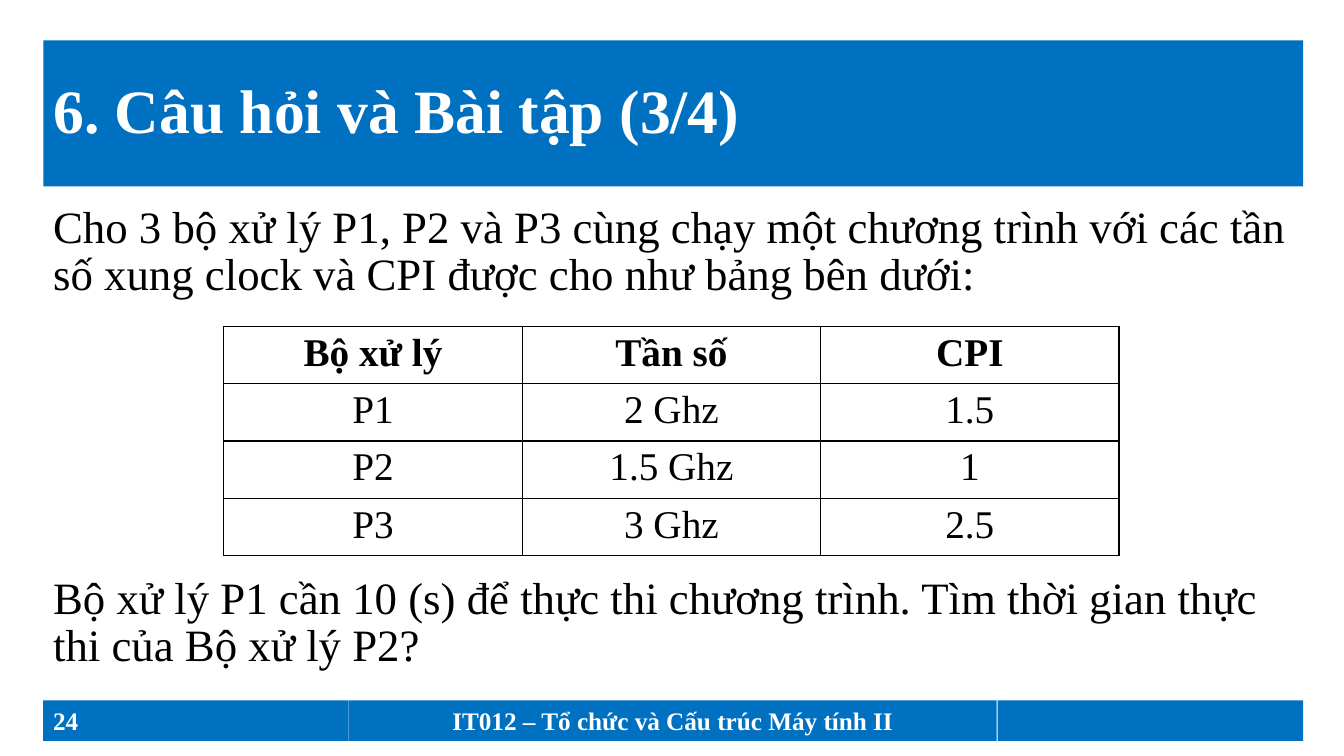
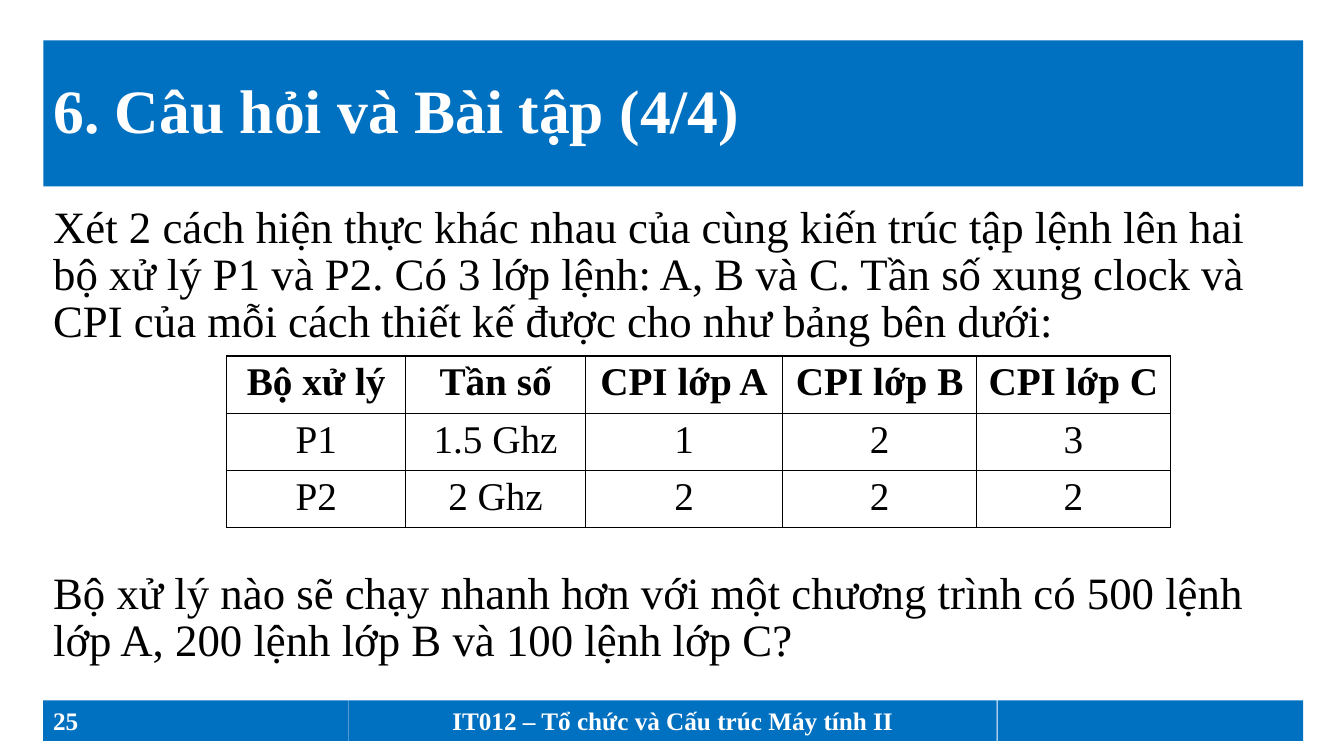
import dataclasses

import lxml.etree
import pptx
import pptx.dml.color
import pptx.enum.shapes
import pptx.enum.text
import pptx.oxml.ns
import pptx.util
from pptx.util import Cm


@dataclasses.dataclass(frozen=True)
class Theme:
    font: str = "Times New Roman"
    blue: str = "0070C0"
    white: str = "FFFFFF"
    black: str = "000000"
    title_size: int = 44
    body_size: int = 32
    table_size: int = 28
    footer_size: int = 18


THEME = Theme()
ALIGN = pptx.enum.text.PP_ALIGN
MIDDLE = pptx.enum.text.MSO_ANCHOR.MIDDLE
RECTANGLE = pptx.enum.shapes.MSO_SHAPE.RECTANGLE

MARGIN = Cm(1.09)
CONTENT_WIDTH = Cm(31.75)
FOOTER_TOP = Cm(17.65)
FOOTER_HEIGHT = Cm(1.02)
ROW_HEIGHT = Cm(1.35)
FIRST_PAGE_NUMBER = 24
COURSE = "IT012 – Tổ chức và Cấu trúc Máy tính II"

EXERCISES = [
    {
        "title": "6. Câu hỏi và Bài tập (3/4)",
        "setup": "Cho 3 bộ xử lý P1, P2 và P3 cùng chạy một chương trình với các tần "
                 "số xung clock và CPI được cho như bảng bên dưới:",
        "question": "Bộ xử lý P1 cần 10 (s) để thực thi chương trình. Tìm thời gian thực "
                    "thi của Bộ xử lý P2?",
        "question_gap": 198,
        "table_at": (5.64, 8.23),
        "columns": [7.52] * 3,
        "rows": [
            ["Bộ xử lý", "Tần số", "CPI"],
            ["P1", "2 Ghz", "1.5"],
            ["P2", "1.5 Ghz", "1"],
            ["P3", "3 Ghz", "2.5"],
        ],
    },
    {
        "title": "6. Câu hỏi và Bài tập (4/4)",
        "setup": "Xét 2 cách hiện thực khác nhau của cùng kiến trúc tập lệnh lên hai "
                 "bộ xử lý P1 và P2. Có 3 lớp lệnh: A, B và C. Tần số xung clock và "
                 "CPI của mỗi cách thiết kế được cho như bảng bên dưới:",
        "question": "Bộ xử lý nào sẽ chạy nhanh hơn với một chương trình có 500 lệnh "
                    "lớp A, 200 lệnh lớp B và 100 lệnh lớp C?",
        "question_gap": 161,
        "table_at": (5.71, 8.97),
        "columns": [4.52, 4.52, 4.98, 4.88, 4.88],
        "rows": [
            ["Bộ xử lý", "Tần số", "CPI lớp A", "CPI lớp B", "CPI lớp C"],
            ["P1", "1.5 Ghz", "1", "2", "3"],
            ["P2", "2 Ghz", "2", "2", "2"],
        ],
    },
]


def format_text(para, size, color, bold=False, align=ALIGN.LEFT):
    para.alignment = align
    for span in para.runs:
        span.font.name = THEME.font
        span.font.size = pptx.util.Pt(size)
        span.font.bold = bold
        span.font.color.rgb = pptx.dml.color.RGBColor.from_string(color)


def add_borders(cell):
    """Draw a thin black line on all four sides of a table cell."""
    properties = cell._tc.get_or_add_tcPr()
    for side in ("a:lnL", "a:lnR", "a:lnT", "a:lnB"):
        line = lxml.etree.SubElement(properties, pptx.oxml.ns.qn(side), w="12700")
        fill = lxml.etree.SubElement(line, pptx.oxml.ns.qn("a:solidFill"))
        lxml.etree.SubElement(fill, pptx.oxml.ns.qn("a:srgbClr"), val=THEME.black)


deck = pptx.Presentation()
deck.slide_width = Cm(33.87)
deck.slide_height = Cm(19.05)
title_only = deck.slide_layouts[5]
blue = pptx.dml.color.RGBColor.from_string(THEME.blue)

for number, exercise in enumerate(EXERCISES, FIRST_PAGE_NUMBER):
    page = deck.slides.add_slide(title_only)

    # Title band
    title = page.shapes.title
    title.left, title.top = MARGIN, Cm(1.02)
    title.width, title.height = CONTENT_WIDTH, Cm(3.68)
    title.fill.solid()
    title.fill.fore_color.rgb = blue
    title.text_frame.text = exercise["title"]
    title.text_frame.auto_size = pptx.enum.text.MSO_AUTO_SIZE.NONE
    title.text_frame.vertical_anchor = MIDDLE
    heading = title.text_frame.paragraphs[0]
    heading.line_spacing = 0.9
    format_text(heading, THEME.title_size, THEME.white, bold=True)

    # Footer bands
    footer_bands = [
        (1.09, 7.7, str(number), ALIGN.LEFT),
        (8.79, 16.33, COURSE, ALIGN.CENTER),
        (25.14, 7.7, "", ALIGN.LEFT),
    ]
    for left, width, text, align in footer_bands:
        band = page.shapes.add_shape(
            RECTANGLE, Cm(left), FOOTER_TOP, Cm(width), FOOTER_HEIGHT)
        band.shadow.inherit = False
        band.fill.solid()
        band.fill.fore_color.rgb = blue
        band.line.fill.background()
        if text:
            band.text_frame.text = text
            band.text_frame.vertical_anchor = MIDDLE
            format_text(band.text_frame.paragraphs[0], THEME.footer_size,
                        THEME.white, bold=True, align=align)

    # Exercise text, with room for the table between its two paragraphs
    body = page.shapes.add_textbox(MARGIN, Cm(5.08), CONTENT_WIDTH, Cm(12.09))
    body.text_frame.word_wrap = True
    body.text_frame.text = exercise["setup"] + "\n" + exercise["question"]
    for para in body.text_frame.paragraphs:
        para.line_spacing = 0.87
        format_text(para, THEME.body_size, THEME.black)
    para.space_before = pptx.util.Pt(exercise["question_gap"])

    # Processor table
    rows, columns = exercise["rows"], exercise["columns"]
    left, top = exercise["table_at"]
    table = page.shapes.add_table(
        len(rows), len(columns), Cm(left), Cm(top),
        Cm(sum(columns)), ROW_HEIGHT * len(rows)).table
    table.first_row = False
    table.horz_banding = False
    for column, width in zip(table.columns, columns):
        column.width = Cm(width)
    for row_index, texts in enumerate(rows):
        table.rows[row_index].height = ROW_HEIGHT
        for column_index, text in enumerate(texts):
            cell = table.cell(row_index, column_index)
            add_borders(cell)
            cell.fill.background()
            cell.text_frame.text = text
            format_text(cell.text_frame.paragraphs[0], THEME.table_size,
                        THEME.black, bold=row_index == 0, align=ALIGN.CENTER)

deck.save("out.pptx")
